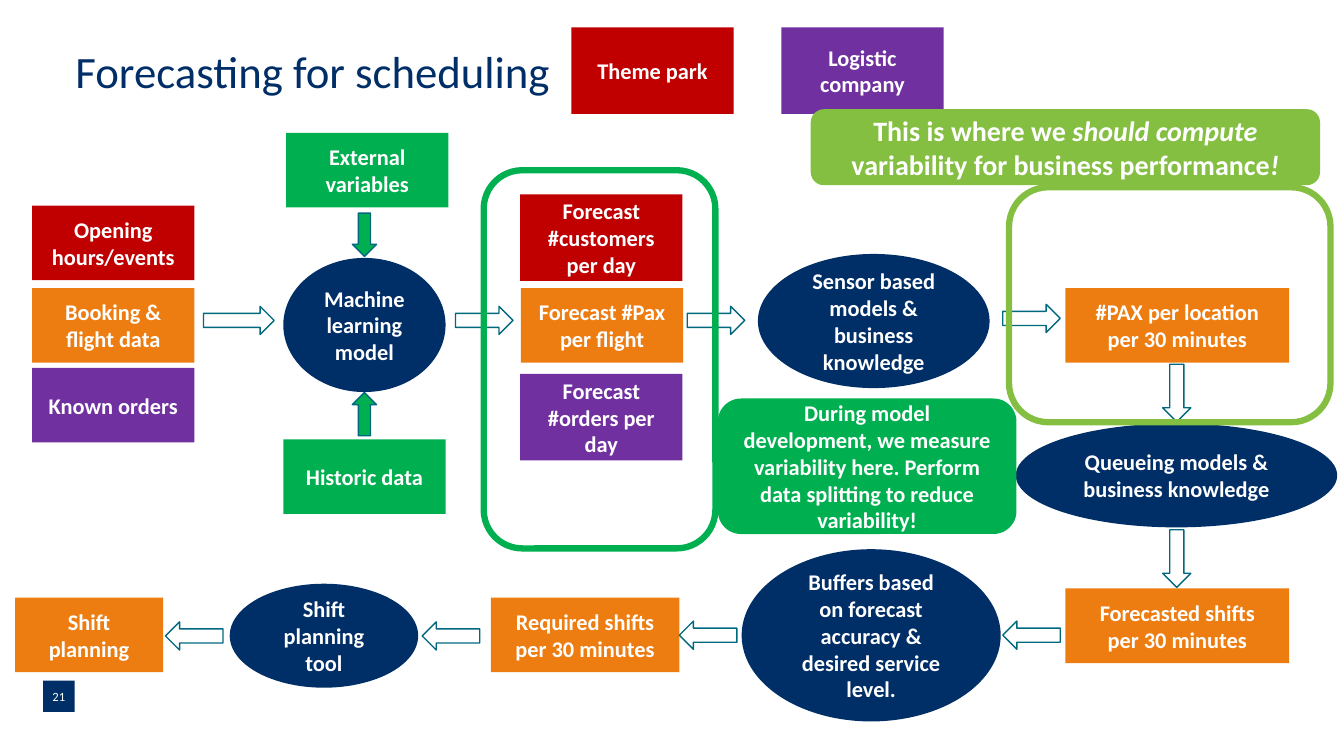
from dataclasses import dataclass

from pptx import Presentation
from pptx.dml.color import RGBColor
from pptx.enum.shapes import MSO_SHAPE
from pptx.enum.text import MSO_ANCHOR, PP_ALIGN
from pptx.util import Cm, Pt

RECT = MSO_SHAPE.RECTANGLE
OVAL = MSO_SHAPE.OVAL
ROUND = MSO_SHAPE.ROUNDED_RECTANGLE
ARROW = MSO_SHAPE.RIGHT_ARROW
MIDDLE = MSO_ANCHOR.MIDDLE
CENTER = PP_ALIGN.CENTER


@dataclass(frozen=True)
class Theme:
    font: str = "Calibri"
    navy: str = "002E67"
    orange: str = "EE7D11"
    green: str = "00B050"
    lime: str = "84BF42"
    red: str = "C00000"
    purple: str = "7030A0"
    teal: str = "00687F"
    white: str = "FFFFFF"
    title: int = 32
    banner: int = 20
    body: int = 16
    small: int = 9


theme = Theme()
deck = Presentation()
deck.slide_width, deck.slide_height = Cm(33.87), Cm(19.05)
slide = deck.slides.add_slide(deck.slide_layouts[6])


def draw(kind, box, fill=None, line=None, width=1):
    """Add a shape; box is left, top, width and height in cm."""
    shape = slide.shapes.add_shape(kind, *[Cm(n) for n in box])
    shape.shadow.inherit = False
    if fill:
        shape.fill.solid()
        shape.fill.fore_color.rgb = RGBColor.from_string(fill)
    else:
        shape.fill.background()
    if line:
        shape.line.color.rgb = RGBColor.from_string(line)
        shape.line.width = Pt(width)
    else:
        shape.line.fill.background()
    return shape


def write(shape, runs, size=theme.body, pad=0.41, color=theme.white, bold=True):
    """Fill a shape with one paragraph; every second run is italic."""
    frame = shape.text_frame
    frame.word_wrap = True
    frame.vertical_anchor = MIDDLE
    frame.margin_left = frame.margin_right = Cm(pad)
    frame.margin_top = frame.margin_bottom = Cm(pad)
    para = frame.paragraphs[0]
    para.alignment = CENTER
    para.font.name = theme.font
    para.font.size = Pt(size)
    para.font.bold = bold
    para.font.color.rgb = RGBColor.from_string(color)
    for i, text in enumerate(runs):
        run = para.add_run()
        run.text = text
        if i % 2:
            run.font.italic = True
    return para


# Title and slide number
title = slide.shapes.add_textbox(Cm(1.9), Cm(1.27), Cm(29.46), Cm(1.17))
para = write(title, ["Forecasting for scheduling"], theme.title, 0, theme.navy, False)
para.alignment = PP_ALIGN.LEFT
para.line_spacing = 0.9
number = draw(RECT, (1.09, 17.15, 0.79, 0.79), theme.navy)
write(number, ["21"], theme.small, 0, bold=False)

# Data boxes: text, fill, left, top, width, height
WIDE, LOW, TALL = 4.09, 1.88, 2.18
boxes = [
    ("Theme park", theme.red, 14.4, 0.69, WIDE, TALL),
    ("Logistic company", theme.purple, 19.69, 0.69, WIDE, TALL),
    ("Opening hours/events", theme.red, 0.81, 5.18, WIDE, LOW),
    ("Booking & flight data", theme.orange, 0.81, 7.26, WIDE, LOW),
    ("Known orders", theme.purple, 0.81, 9.27, WIDE, LOW),
    ("External variables", theme.green, 7.21, 3.35, WIDE, LOW),
    ("Historic data", theme.green, 7.14, 11.07, WIDE, LOW),
    ("Forecast #customers per day", theme.red, 13.11, 4.9, WIDE, TALL),
    ("Forecast #Pax per flight", theme.orange, 13.13, 7.26, WIDE, LOW),
    ("Forecast #orders per day", theme.purple, 13.11, 9.42, WIDE, TALL),
    ("#PAX per location per 30 minutes", theme.orange, 26.85, 7.26, 5.64, LOW),
    ("Forecasted shifts per 30 minutes", theme.orange, 26.85, 14.83, 5.64, LOW),
    ("Required shifts per 30 minutes", theme.orange, 12.37, 15.06, 4.75, LOW),
    ("Shift planning", theme.orange, 0.38, 15.06, 3.73, LOW),
]
for text, fill, *box in boxes:
    write(draw(RECT, box, fill), [text])

# Models: text, left, top, width, height
models = [
    ("Machine learning model", 7.14, 6.5, WIDE, 3.38),
    ("Sensor based models & business knowledge", 19.1, 6.4, 5.84, 3.38),
    ("Queueing models & business knowledge", 25.6, 10.67, 8.1, 2.62),
    ("Buffers based on forecast accuracy & desired service level.",
     18.69, 13.84, 6.53, 4.34),
    ("Shift planning tool", 5.79, 14.71, 4.75, 2.62),
]
for text, *box in models:
    write(draw(OVAL, box, theme.navy), [text])

# Flow arrows: left, top, length, turn
flows = [
    (5.13, 7.72, 1.78, 0), (11.48, 7.72, 1.45, 0),
    (17.32, 7.72, 1.45, 0), (25.27, 7.67, 1.45, 0),
    (28.93, 9.55, 1.45, 90), (28.93, 13.72, 1.45, 90),
    (25.27, 15.65, 1.45, 180), (17.12, 15.65, 1.45, 180),
    (10.64, 15.67, 1.45, 180), (4.17, 15.67, 1.45, 180),
]
for left, top, length, turn in flows:
    draw(ARROW, (left, top, length, 0.71), theme.white, theme.teal).rotation = turn
for top, turn in [(5.61, 90), (10.13, 270)]:
    draw(ARROW, (8.64, top, 1.09, 0.61), theme.green, theme.teal).rotation = turn

# Frames and the remarks on variability
draw(ROUND, (25.43, 4.72, 8.1, 5.92), line=theme.lime, width=4.5)
draw(ROUND, (12.19, 4.29, 5.84, 9.53), line=theme.green, width=4.5)
banner = draw(ROUND, (20.45, 2.77, 12.8, 1.88), theme.lime, theme.lime)
write(banner, ["This is where we ", "should compute ",
               "variability for business performance", "!"], theme.banner)
remark = draw(ROUND, (18.11, 10.06, 7.49, 3.38), theme.green, theme.green)
write(remark, ["During model development, we measure variability here. "
               "Perform data splitting to reduce variability!"])

deck.save("out.pptx")
